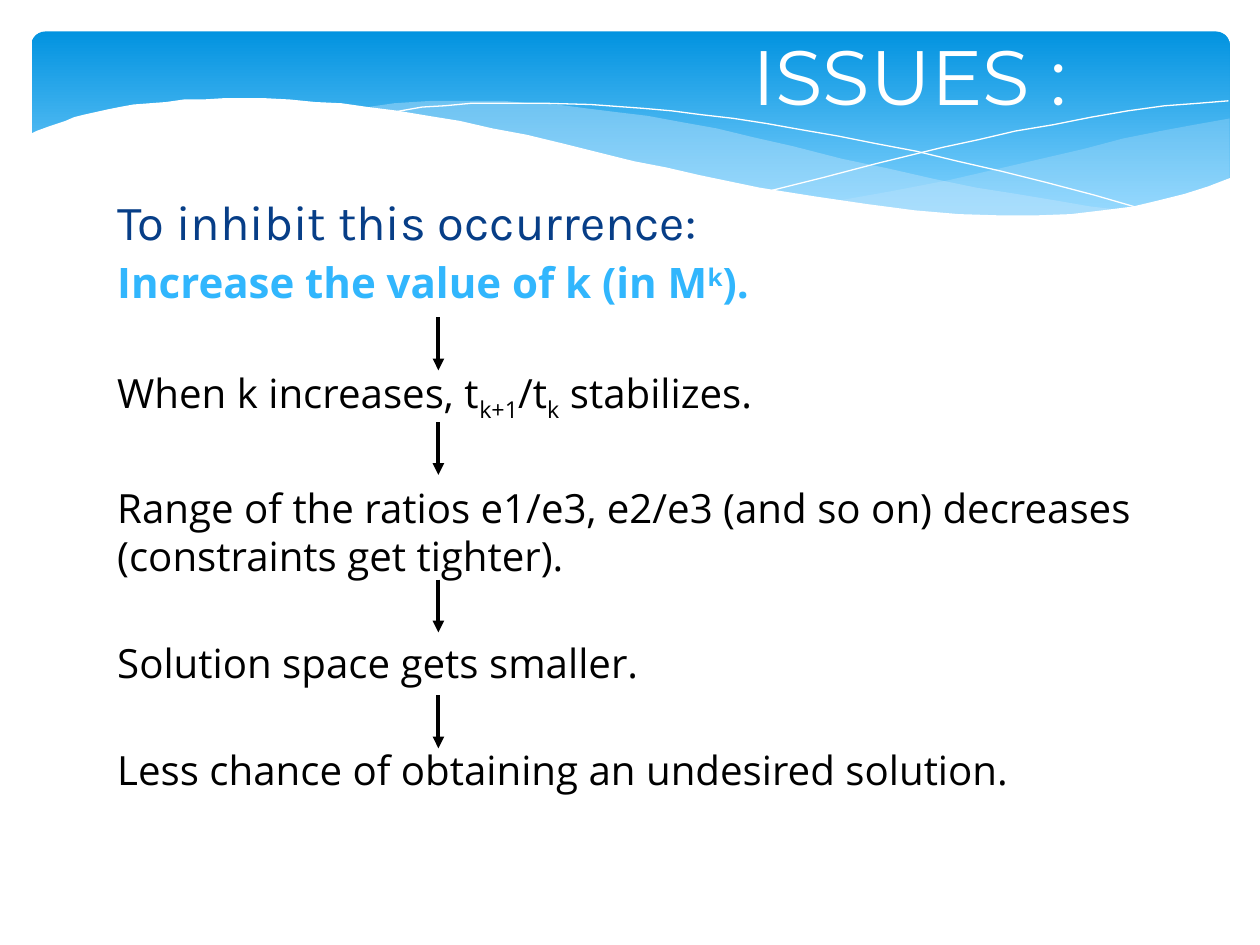
"""Build the ISSUES slide: a wave banner above a chain of consequences joined by arrows."""
import pptx
import pptx.util
import pptx.dml.color
import pptx.enum.shapes
import pptx.enum.text
import lxml.etree
import pptx.oxml.ns

Pt = pptx.util.Pt
qn = pptx.oxml.ns.qn
COLORS = {k: pptx.dml.color.RGBColor.from_string(v) for k, v in {
    "white": "FFFFFF", "black": "000000", "sky": "0293E0", "pale": "81D2FE",
    "mist": "C6E7FC", "navy": "073E87", "azure": "31B6FD"}.items()}

prs = pptx.Presentation()
prs.slide_width, prs.slide_height = Pt(720), Pt(540)
s = prs.slides.add_slide(prs.slide_layouts[6])


def add_wave(points, fill=None, alpha=None):
    """Draw a filled wave, or a thin white curve when no fill is given."""
    fb = s.shapes.build_freeform(*points[0], scale=Pt(0.72))
    fb.add_line_segments(points[1:], close=fill is not None)
    sp = fb.convert_to_shape()
    sp.shadow.inherit = False
    if fill is None:
        sp.fill.background()
        sp.line.color.rgb = COLORS["white"]
        sp.line.width = Pt(0.75)
        return
    sp.line.fill.background()
    sp.fill.solid()
    sp.fill.fore_color.rgb = COLORS[fill]
    if alpha:
        clr = sp.fill._xPr.find(qn("a:solidFill"))[0]
        lxml.etree.SubElement(clr, qn("a:alpha"), val=str(alpha * 1000))


def add_text(left, top, width, height):
    """Add a wrapping text box with even insets and return its frame."""
    tf = s.shapes.add_textbox(Pt(left), Pt(top), Pt(width), Pt(height)).text_frame
    tf.word_wrap = True
    tf.margin_left = tf.margin_right = tf.margin_top = tf.margin_bottom = Pt(3.6)
    return tf


sp = s.shapes.add_shape(pptx.enum.shapes.MSO_SHAPE.ROUNDED_RECTANGLE,
                        Pt(18), Pt(18), Pt(684.7), Pt(112.3))
sp.adjustments[0] = 0.07
sp.shadow.inherit = False
sp.line.fill.background()
sp.fill.gradient()
sp.fill.gradient_angle = 270
for stop, (position, color) in zip(sp.fill.gradient_stops, [(0, "sky"), (0.9, "pale")]):
    stop.position = position
    stop.color.rgb = COLORS[color]

add_wave([
    (976, 94), (948, 99), (921, 104), (891, 110), (861, 118), (805, 131), (753, 143),
    (706, 152), (661, 160), (691, 164), (719, 167), (745, 169), (769, 171), (792, 172),
    (814, 172), (835, 172), (854, 170), (872, 169), (889, 166), (905, 163), (921, 160),
    (935, 156), (949, 152), (963, 147), (976, 141)], "mist", 28)
add_wave([
    (893, 167), (866, 164), (837, 159), (807, 154), (775, 149), (741, 142), (706, 134),
    (668, 126), (629, 116), (598, 109), (569, 102), (541, 97), (514, 92), (489, 89),
    (465, 86), (442, 83), (420, 82), (399, 80), (380, 80), (361, 80), (344, 80),
    (328, 81), (313, 82), (299, 84), (286, 86), (323, 90), (362, 97), (404, 106),
    (449, 116), (491, 126), (530, 135), (566, 143), (601, 150), (634, 156), (665, 161),
    (695, 165), (722, 168), (748, 170), (773, 172), (796, 173), (818, 173), (838, 172),
    (857, 171), (884, 168)], "mist", 40)
add_wave([
    (309, 90), (318, 88), (335, 85), (353, 84), (374, 82), (401, 82), (433, 82),
    (469, 83), (510, 86), (533, 88), (556, 91), (582, 94), (608, 98), (636, 103),
    (665, 108), (695, 114), (727, 120), (760, 128), (795, 136), (831, 145), (869, 155),
    (907, 166)])
add_wave([
    (613, 151), (653, 141), (695, 130), (748, 117), (776, 111), (806, 104), (836, 99),
    (866, 93), (895, 88), (924, 84), (951, 82), (975, 80)])
add_wave([
    (977, 141), (959, 148), (940, 154), (920, 159), (899, 164), (875, 167), (850, 170),
    (823, 171), (793, 171), (761, 170), (726, 167), (688, 162), (647, 156), (603, 149),
    (579, 144), (555, 139), (529, 133), (503, 128), (475, 121), (447, 114), (418, 107),
    (391, 102), (365, 96), (340, 92), (316, 88), (292, 85), (271, 82), (250, 81),
    (230, 79), (211, 78), (193, 78), (177, 78), (161, 79), (146, 79), (132, 81),
    (119, 82), (106, 83), (95, 85), (85, 87), (76, 89), (67, 91), (59, 93), (52, 96),
    (46, 98), (40, 100), (29, 104), (23, 107), (23, 224), (977, 224)], "white")

steps = [
    (2.6, "Karla", 28, "navy", [("To inhibit this occurrence:", 0)]),
    (5.1, "Open Sans", 24, "azure", [("Increase the value of k (in M", 0), ("k", 30), (").", 0)]),
    (38.8, "Open Sans", 23, "black", [("When k increases, t", 0), ("k+1", -25), ("/t", 0),
                                      ("k", -25), (" stabilizes.", 0)]),
    (34.2, "Open Sans", 23, "black", [("Range of the ratios e1/e3, e2/e3 (and so on) decreases "
                                       "(constraints get tighter).", 0)]),
    (33.6, "Open Sans", 23, "black", [("Solution space gets smaller.", 0)]),
    (33.6, "Open Sans", 23, "black", [("Less chance of obtaining an undesired solution.", 0)]),
]
tf = add_text(63.4, 105.8, 588.2, 416.9)
for i, (before, font, size, color, runs) in enumerate(steps):
    p = tf.add_paragraph() if i else tf.paragraphs[0]
    p.space_before = Pt(before)
    if i:
        p.line_spacing = Pt(27.5)
    p.font.name, p.font.size, p.font.bold = font, Pt(size), color == "azure"
    p.font.color.rgb = COLORS[color]
    for text, baseline in runs:
        r = p.add_run()
        r.text = text
        if baseline:
            r.font._element.set("baseline", str(baseline * 1000))

tf = add_text(195.8, 9.4, 648, 67)
tf.vertical_anchor = pptx.enum.text.MSO_ANCHOR.MIDDLE
p = tf.paragraphs[0]
p.text = "ISSUES :"
p.alignment = pptx.enum.text.PP_ALIGN.CENTER
p.font.name, p.font.size = "Montserrat", Pt(44)
p.font.color.rgb = COLORS["white"]

for top in (181.4, 241.2, 331.2, 397.4):
    arrow = s.shapes.add_connector(pptx.enum.shapes.MSO_CONNECTOR.STRAIGHT,
                                   Pt(250.5), Pt(top), Pt(250.5), Pt(top + 30.2))
    arrow.line.color.rgb = COLORS["black"]
    arrow.line.width = Pt(2.25)
    lxml.etree.SubElement(arrow.line._get_or_add_ln(), qn("a:tailEnd"), type="triangle")
    lxml.etree.SubElement(arrow._element.spPr, qn("a:effectLst"))

prs.save("out.pptx")
